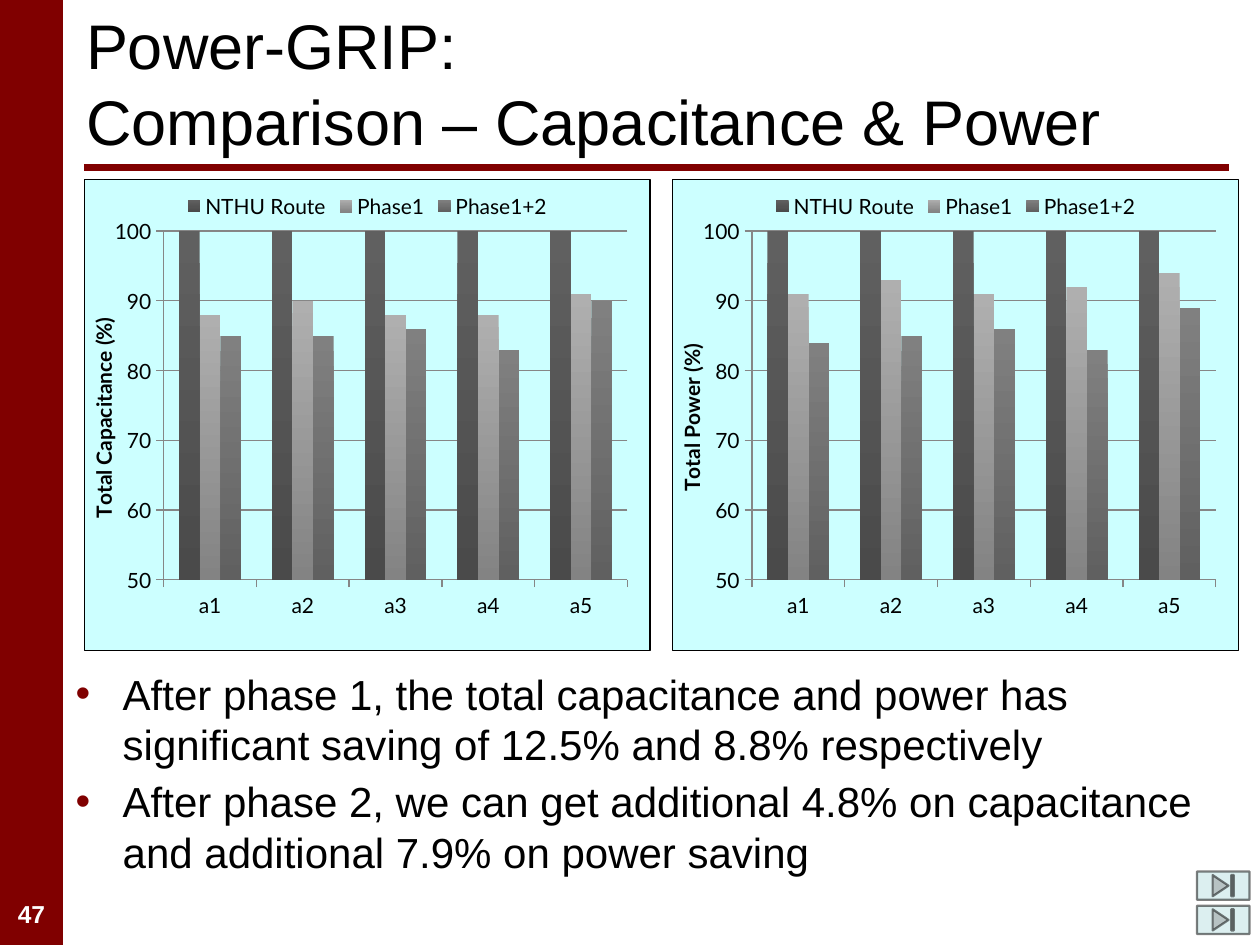
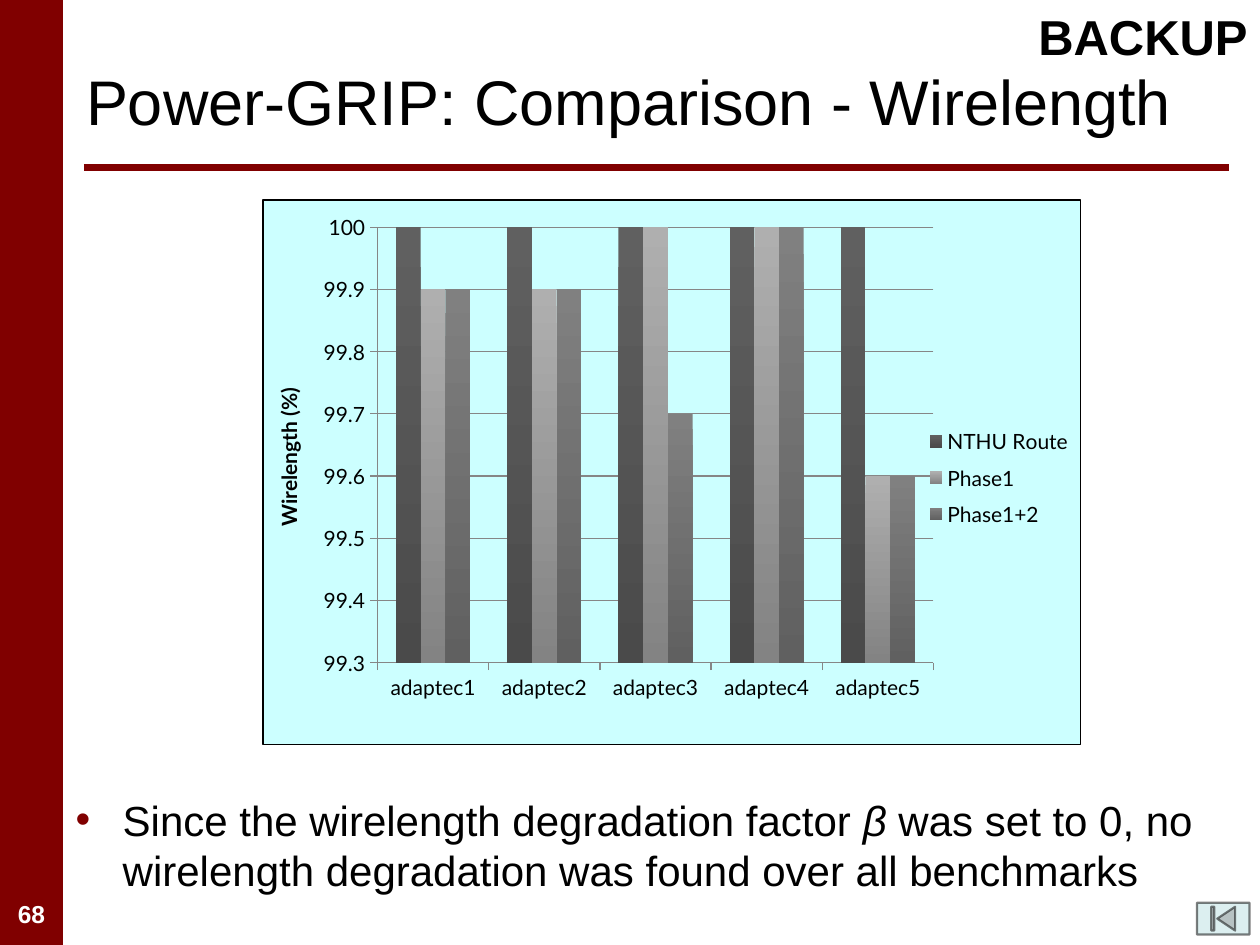
from lxml import etree
from pptx import Presentation
from pptx import util as u
from pptx.chart import data as cd
from pptx.dml.color import RGBColor
from pptx.enum import chart as ch, shapes as sh, text as tx
from pptx.oxml import parse_xml
from pptx.oxml.ns import nsdecls, qn

HUES = {"band": "800000", "ink": "000000", "page": "FFFFFF",
        "panel": "CCFFFF", "button": "BBE0E3", "grid": "868686"}
FONT, PLOT_FONT = "Arial", "Lato"
# top and bottom hue of each series
BARS = {"NTHU Route": ("606060", "4A4A4A"),
        "Phase1": ("AFAFAF", "838383"),
        "Phase1+2": ("808080", "606060")}
BASE = [100] * 5


def rgb(name):
    return RGBColor.from_string(HUES[name])


def cm(box):
    return [u.Cm(v) for v in box]


def place(shape, box):
    shape.left, shape.top, shape.width, shape.height = cm(box)


def style(par, size, hue="ink", bold=False):
    for run in par.runs:
        font = run.font
        font.name, font.size, font.bold = FONT, u.Pt(size), bold
        font.color.rgb = rgb(hue)


def label(slide, box, words, size, hue, align):
    frame = slide.shapes.add_textbox(*cm(box)).text_frame
    frame.word_wrap = True
    par = frame.paragraphs[0]
    par.text, par.alignment = words, align
    style(par, size, hue, True)


def chrome(slide, page):
    """Draw the side band, the title rule and the page number."""
    band = slide.shapes.add_shape(sh.MSO_SHAPE.RECTANGLE, *cm((0, 0, 1.27, 19.05)))
    band.shadow.inherit = False
    band.fill.solid()
    band.fill.fore_color.rgb = rgb("band")
    band.line.fill.background()
    rule = slide.shapes.add_connector(sh.MSO_CONNECTOR.STRAIGHT,
                                      *cm((1.69, 3.38, 24.77, 3.38)))
    rule.line.color.rgb = rgb("band")
    rule.line.width = u.Pt(4)
    etree.SubElement(rule.element.spPr, qn("a:effectLst"))
    label(slide, (0, 17.99, 1.27, 0.85), str(page), 14, "page", tx.PP_ALIGN.CENTER)


def head(slide, top, words):
    title = slide.shapes.title
    place(title, (1.48, top, 23.28, 2.75))
    frame = title.text_frame
    frame.text = words
    frame.auto_size = tx.MSO_AUTO_SIZE.NONE
    frame.vertical_anchor = tx.MSO_ANCHOR.MIDDLE
    par = frame.paragraphs[0]
    par.alignment = tx.PP_ALIGN.LEFT
    style(par, 36)


def points(slide, box, items):
    """Fill the body with bullets; each item is a list of (words, italic)."""
    body = slide.placeholders[1]
    place(body, box)
    frame = body.text_frame
    frame.auto_size = tx.MSO_AUTO_SIZE.NONE
    for i, item in enumerate(items):
        par = frame.add_paragraph() if i else frame.paragraphs[0]
        props = par._p.get_or_add_pPr()
        props.set("marL", str(u.Cm(0.95)))
        props.set("indent", str(u.Cm(-0.95)))
        hue = etree.SubElement(props, qn("a:buClr"))
        etree.SubElement(hue, qn("a:srgbClr"), val=HUES["band"])
        etree.SubElement(props, qn("a:buChar"), char="•")
        par.space_before = u.Pt(4 if i else 0)
        for words, slant in item:
            run = par.add_run()
            run.text, run.font.italic = words, slant
        style(par, 24)


def layout(box, inner=False):
    """Give the XML that fixes a chart part at fractions of the chart."""
    spots = '<c:layoutTarget val="inner"/>' if inner else ""
    spots += "".join(f'<c:{k}Mode val="edge"/>' for k in "xy")
    spots += "".join(f'<c:{k} val="{v}"/>' for k, v in zip("xywh", box))
    return parse_xml(f'<c:layout {nsdecls("c")}><c:manualLayout>{spots}'
                     '</c:manualLayout></c:layout>')


def panel(chart, plot, key):
    """Set the backdrop, the inner plot box and, if given, the legend box."""
    root = chart.element
    root.find(qn("c:chart")).addnext(parse_xml(
        f'<c:spPr {nsdecls("c", "a")}>'
        f'<a:solidFill><a:srgbClr val="{HUES["panel"]}"/></a:solidFill>'
        f'<a:ln w="{u.Pt(0.75)}"><a:solidFill><a:srgbClr val="{HUES["ink"]}"/>'
        '</a:solidFill></a:ln></c:spPr>'))
    area = root.find(".//" + qn("c:plotArea"))
    legend = root.find(".//" + qn("c:legend"))
    for part in (area, legend) if key else (area,):
        for old in part.findall(qn("c:layout")):
            part.remove(old)
    area.insert(0, layout(plot, True))
    if key:
        legend.find(qn("c:legendPos")).addnext(layout(key))


def bars(slide, box, name, cats, vals, low, step, plot, side, key=None):
    data = cd.CategoryChartData()
    data.categories = cats
    for title, row in zip(BARS, [BASE, *vals]):
        data.add_series(title, row)
    chart = slide.shapes.add_chart(ch.XL_CHART_TYPE.COLUMN_CLUSTERED,
                                   *cm(box), data).chart
    chart.has_title = False
    font = chart.font
    font.name, font.size, font.color.rgb = PLOT_FONT, u.Pt(12), rgb("ink")
    chart.has_legend = True
    chart.legend.position, chart.legend.include_in_layout = side, False
    group = chart.plots[0]
    group.gap_width, group.overlap, group.vary_by_categories = 150, 0, False
    for line, hues in zip(group.series, BARS.values()):
        fill = line.format.fill
        fill.gradient()
        fill.gradient_angle = 270
        for stop, hue in zip(fill.gradient_stops, hues):
            stop.color.rgb = RGBColor.from_string(hue)
    axis = chart.value_axis
    axis.minimum_scale, axis.maximum_scale, axis.major_unit = low, 100, step
    axis.has_major_gridlines = True
    for part in (axis, chart.category_axis, axis.major_gridlines):
        part.format.line.color.rgb = rgb("grid")
        part.format.line.width = u.Pt(0.75)
    for part in (axis, chart.category_axis):
        part.major_tick_mark = ch.XL_TICK_MARK.OUTSIDE
    frame = axis.axis_title.text_frame
    frame.text = name
    font = frame.paragraphs[0].runs[0].font
    font.name, font.size, font.bold = PLOT_FONT, u.Pt(12), True
    font.color.rgb = rgb("ink")
    turn = chart.element.find(f'.//{qn("c:valAx")}/{qn("c:title")}//{qn("a:bodyPr")}')
    turn.set("rot", "-5400000")
    turn.set("vert", "horz")
    panel(chart, plot, key)


def button(slide, kind, top, high):
    key = slide.shapes.add_shape(kind, *cm((24.13, top, 1.06, high)))
    key.shadow.inherit = False
    key.fill.solid()
    key.fill.fore_color.rgb = rgb("button")
    key.line.color.rgb = rgb("ink")
    key.line.width = u.Pt(1.25)
    for hue in key.element.spPr.iter(qn("a:srgbClr")):
        etree.SubElement(hue, qn("a:alpha"), val="50000")


def start(deck, page, top, words):
    slide = deck.slides.add_slide(deck.slide_layouts[1])
    chrome(slide, page)
    head(slide, top, words)
    return slide


def power(deck):
    slide = start(deck, 47, 0.28, "Power-GRIP:\vComparison – Capacitance & Power")
    cats = [f"a{n}" for n in range(1, 6)]
    pair = {"Total Capacitance (%)": ([88, 90, 88, 88, 91], [85, 85, 86, 83, 90]),
            "Total Power (%)": ([91, 93, 91, 92, 94], [84, 85, 86, 83, 89])}
    for i, (name, vals) in enumerate(pair.items()):
        bars(slide, (1.69 + 11.86 * i, 3.6, 11.43, 9.53), name, cats, vals,
             50, 10, (0.14, 0.11, 0.82, 0.74), ch.XL_LEGEND_POSITION.TOP)
    points(slide, (1.27, 13.34, 23.71, 5.71), [
        [("After phase 1, the total capacitance and power has significant "
          "saving of 12.5% and 8.8% respectively", False)],
        [("After phase 2, we can get additional 4.8% on capacitance and "
          "additional 7.9% on power saving", False)]])
    for i in range(2):
        button(slide, sh.MSO_SHAPE.ACTION_BUTTON_END, 18.26 - 0.69 * i, 0.57)


def length(deck):
    slide = start(deck, 68, 0.64, "Power-GRIP: Comparison - Wirelength")
    bars(slide, (5.29, 4.02, 16.51, 11), "Wirelength (%)",
         [f"adaptec{n}" for n in range(1, 6)],
         ([99.9, 99.9, 100, 100, 99.6], [99.9, 99.9, 99.7, 100, 99.6]),
         99.3, 0.1, (0.14, 0.05, 0.68, 0.8), ch.XL_LEGEND_POSITION.RIGHT,
         (0.81, 0.4, 0.18, 0.22))
    points(slide, (1.27, 15.88, 23.71, 2.54), [
        [("Since the wirelength degradation factor ", False), ("β", True),
         (" was set to 0, no wirelength degradation was found over all "
          "benchmarks", False)]])
    button(slide, sh.MSO_SHAPE.ACTION_BUTTON_BEGINNING, 18.2, 0.64)
    label(slide, (20.32, 0, 5.08, 1.45), "BACKUP", 28, "ink", tx.PP_ALIGN.RIGHT)


def main():
    deck = Presentation()
    deck.slide_width, deck.slide_height = u.Cm(25.4), u.Cm(19.05)
    power(deck)
    length(deck)
    deck.save("out.pptx")


if __name__ == "__main__":
    main()
